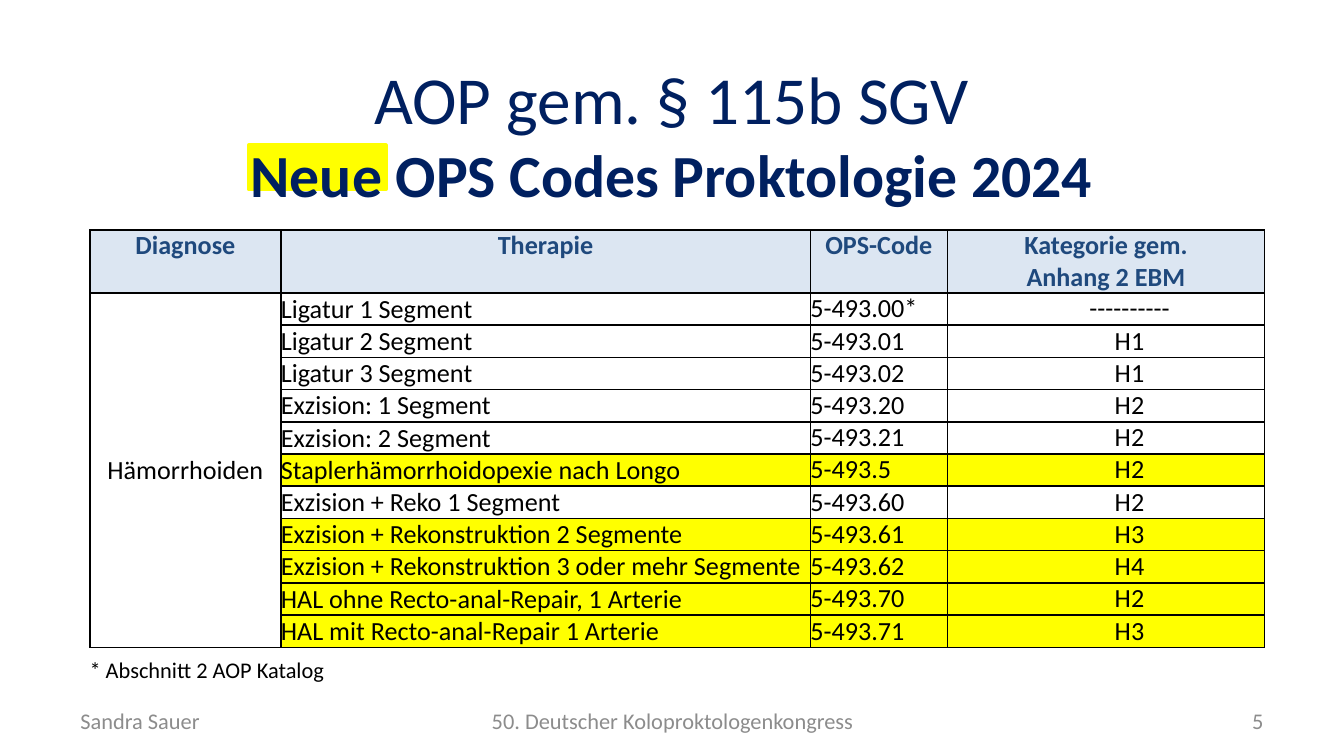
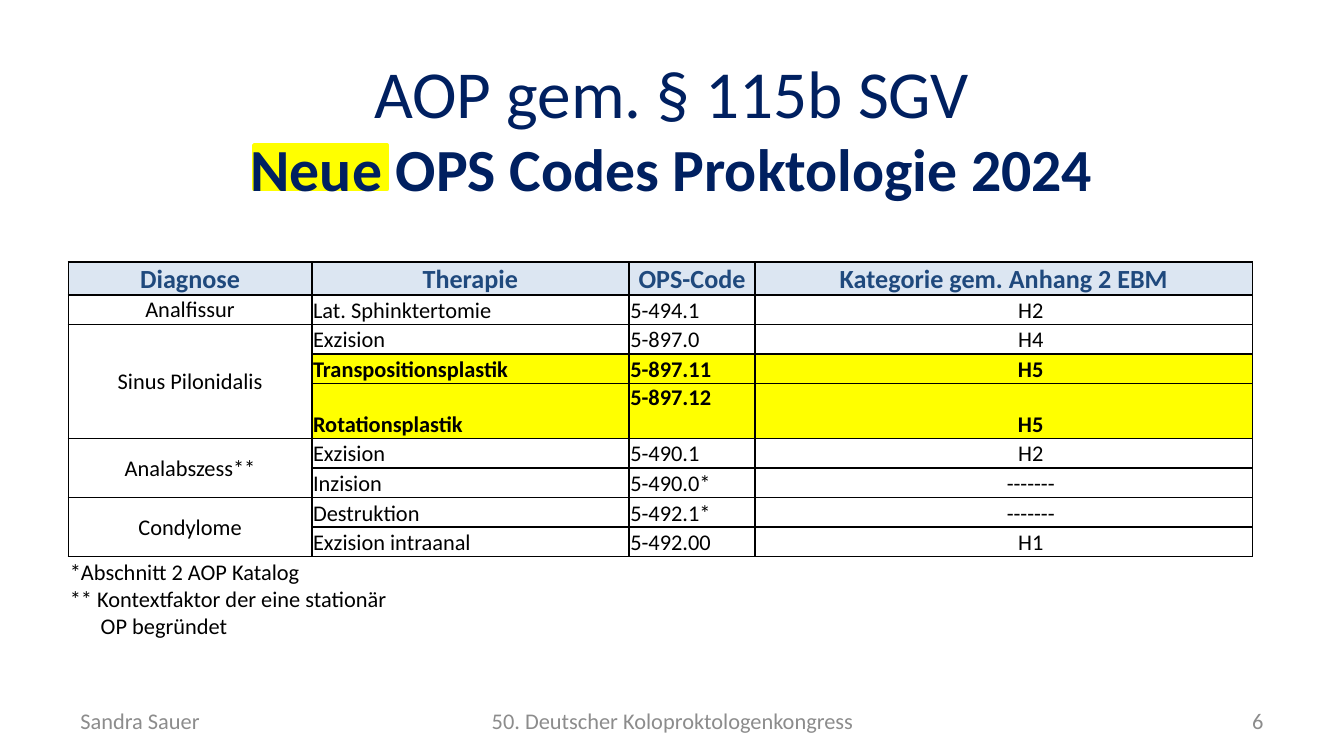
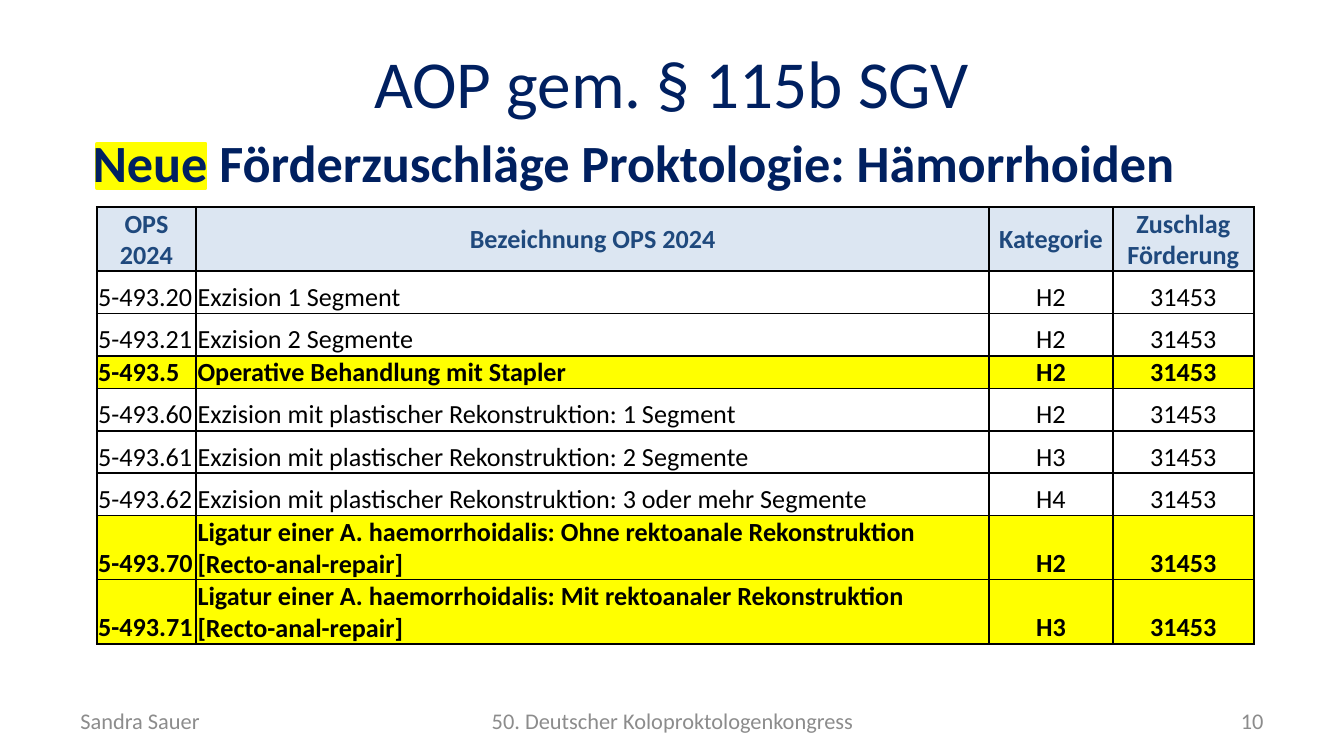
import pptx
import pptx.dml.color
import pptx.enum.shapes
import pptx.enum.text
import pptx.oxml.ns
import pptx.util
from lxml import etree

NAVY, HEADING, HEADER_FILL = "002060", "1F497D", "DCE6F2"
YELLOW, GREY, BLACK, WHITE = "FFFF00", "8C8C8C", "000000", "FFFFFF"
FONT = "Calibri"
NO_STYLE = "{2D5ABB26-0587-4C30-8999-92F81FD0307C}"
UNIT = pptx.util.Inches(10) // 100
LEFT = pptx.enum.text.PP_ALIGN.LEFT
CENTER = pptx.enum.text.PP_ALIGN.CENTER
RIGHT = pptx.enum.text.PP_ALIGN.RIGHT
TOP = pptx.enum.text.MSO_ANCHOR.TOP
MIDDLE = pptx.enum.text.MSO_ANCHOR.MIDDLE
BOTTOM = pptx.enum.text.MSO_ANCHOR.BOTTOM
RECTANGLE = pptx.enum.shapes.MSO_SHAPE.RECTANGLE


def color(value):
    return pptx.dml.color.RGBColor.from_string(value)


def grid(*units):
    return [round(unit * UNIT) for unit in units]


def style(paragraph, size, font_color, bold=False, align=LEFT):
    paragraph.alignment = align
    font = paragraph.font
    font.name, font.size, font.bold = FONT, pptx.util.Pt(size), bold
    font.color.rgb = color(font_color)


def add_text(slide, box, text, size, font_color, align, anchor=MIDDLE):
    frame = slide.shapes.add_textbox(*grid(*box)).text_frame
    frame.word_wrap = True
    frame.vertical_anchor = anchor
    paragraph = frame.paragraphs[0]
    paragraph.text = text
    style(paragraph, size, font_color, align=align)
    return paragraph


def add_rectangle(slide, box, fill, line, line_width):
    shape = slide.shapes.add_shape(RECTANGLE, *grid(*box))
    shape.shadow.inherit = False
    if fill:
        shape.fill.solid()
        shape.fill.fore_color.rgb = color(fill)
    else:
        shape.fill.background()
    shape.line.color.rgb = color(line)
    shape.line.width = pptx.util.Pt(line_width)
    return shape


def add_frame(presentation, number, marker, title_top, subtitle=None):
    slide = presentation.slides.add_slide(presentation.slide_layouts[6])
    marker_left, marker_top, marker_width = marker
    add_rectangle(slide, (marker_left, marker_top, marker_width, 3.3), YELLOW, YELLOW, 2)
    title = add_text(slide, (5, title_top, 90, 9.4), "AOP gem. § 115b SGV", 36, NAVY, CENTER)
    if subtitle:
        title.add_line_break()
        run = title.add_run()
        run.text = subtitle
        run.font.size, run.font.bold = pptx.util.Pt(32), True
    for left, width, text, align in (
        (5, 23.3, "Sandra Sauer", LEFT),
        (34.2, 31.7, "50. Deutscher Koloproktologenkongress", CENTER),
        (71.7, 23.3, str(number), RIGHT),
    ):
        add_text(slide, (left, 52.1, width, 3), text, 12, GREY, align)
    return slide


def new_table(slide, left, top, columns, rows):
    box = grid(left, top, sum(columns), sum(rows))
    table = slide.shapes.add_table(len(rows), len(columns), *box).table
    table.first_row = table.horz_banding = False
    table._tbl.tblPr.find(pptx.oxml.ns.qn("a:tableStyleId")).text = NO_STYLE
    for column, width in zip(table.columns, grid(*columns)):
        column.width = width
    for row, height in zip(table.rows, grid(*rows)):
        row.height = height
    return table


def add_borders(cell):
    properties = cell._tc.get_or_add_tcPr()
    for position, side in enumerate(("lnL", "lnR", "lnT", "lnB")):
        line = etree.Element(pptx.oxml.ns.qn(f"a:{side}"), w=str(pptx.util.Pt(1)))
        fill = etree.SubElement(line, pptx.oxml.ns.qn("a:solidFill"))
        etree.SubElement(fill, pptx.oxml.ns.qn("a:srgbClr"), val=BLACK)
        properties.insert(position, line)


def fill_cell(cell, text, size, font_color, bold, align, anchor, fill=None, inset=0.1):
    cell.text = text
    cell.vertical_anchor = anchor
    cell.margin_left, cell.margin_right, cell.margin_top = grid(inset, inset, inset)
    cell.margin_bottom = 0
    if fill:
        cell.fill.solid()
        cell.fill.fore_color.rgb = color(fill)
    else:
        cell.fill.background()
    for paragraph in cell.text_frame.paragraphs:
        style(paragraph, size, font_color, bold, align)


def add_code_table(slide, left, top, columns, heights, header, body, new_codes,
                   aligns, anchors, header_anchor=TOP, size=14, bold_new=True,
                   inset=0.1, category_indent=0):
    table = new_table(slide, left, top, columns, heights)
    for column, text in enumerate(header):
        fill_cell(table.cell(0, column), text, 14, HEADING, True, CENTER,
                  header_anchor, HEADER_FILL, inset)
    for row, texts in enumerate(body, 1):
        is_new = not new_codes.isdisjoint(texts)
        for column, text in enumerate(texts):
            fill = YELLOW if is_new and text else None
            fill_cell(table.cell(row, column), text, size, BLACK, is_new and bold_new,
                      aligns[column], anchors[column], fill, inset)
        if category_indent:
            table.cell(row, len(columns) - 1).margin_left = grid(category_indent)[0]
    for cell in table.iter_cells():
        add_borders(cell)
    starts = [row for row, texts in enumerate(body, 1) if texts[0]]
    for start, following in zip(starts, starts[1:] + [len(body) + 1]):
        if following - start > 1:
            table.cell(start, 0).merge(table.cell(following - 1, 0))
    return table


def add_footnote(slide, left, top, height, text, align):
    table = new_table(slide, left, top, [25.2], [height])
    fill_cell(table.cell(0, 0), text, 12, BLACK, False, align, MIDDLE)
    return table.cell(0, 0).text_frame.paragraphs


def build_haemorrhoid_codes(presentation):
    slide = add_frame(presentation, 5, (18.5, 10.8, 10.2), 5.2,
                      "Neue OPS Codes Proktologie 2024")
    header = ("Diagnose", "Therapie", "OPS-Code", "Kategorie gem.\nAnhang 2 EBM")
    therapies = (
        ("Ligatur 1 Segment", "5-493.00*", "----------"),
        ("Ligatur 2 Segment", "5-493.01", "H1"),
        ("Ligatur 3 Segment", "5-493.02", "H1"),
        ("Exzision: 1 Segment", "5-493.20", "H2"),
        ("Exzision: 2 Segment", "5-493.21", "H2"),
        ("Staplerhämorrhoidopexie nach Longo", "5-493.5", "H2"),
        ("Exzision + Reko 1 Segment", "5-493.60", "H2"),
        ("Exzision + Rekonstruktion 2 Segmente", "5-493.61", "H3"),
        ("Exzision + Rekonstruktion 3 oder mehr Segmente", "5-493.62", "H4"),
        ("HAL ohne Recto-anal-Repair, 1 Arterie", "5-493.70", "H2"),
        ("HAL mit Recto-anal-Repair 1 Arterie", "5-493.71", "H3"),
    )
    body = [("" if row else "Hämorrhoiden", *texts) for row, texts in enumerate(therapies)]
    add_code_table(slide, 6.7, 17.1, (14.2, 39.4, 10.2, 23.6), [4.7] + [2.4] * 11,
                   header, body, {"5-493.5", "5-493.61", "5-493.62", "5-493.70", "5-493.71"},
                   (CENTER, LEFT, LEFT, CENTER), (MIDDLE, BOTTOM, TOP, TOP),
                   bold_new=False, inset=0, category_indent=3.5)
    add_footnote(slide, 2.8, 48.8, 2.2, "* Abschnitt 2 AOP Katalog", CENTER)


def build_other_codes(presentation):
    slide = add_frame(presentation, 6, (18.9, 10.8, 9.9), 4.8,
                      "Neue OPS Codes Proktologie 2024")
    header = ("Diagnose", "Therapie", "OPS-Code", "Kategorie gem. Anhang 2 EBM")
    body = (
        ("Analfissur", "Lat. Sphinktertomie", "5-494.1", "H2"),
        ("Sinus Pilonidalis", "Exzision", "5-897.0", "H4"),
        ("", "Transpositionsplastik", "5-897.11", "H5"),
        ("", "Rotationsplastik", "5-897.12", "H5"),
        ("Analabszess**", "Exzision", "5-490.1", "H2"),
        ("", "Inzision", "5-490.0*", "-------"),
        ("Condylome", "Destruktion", "5-492.1*", "-------"),
        ("", "Exzision intraanal", "5-492.00", "H1"),
    )
    table = add_code_table(slide, 5.1, 19.5, (18.1, 23.6, 9.4, 37),
                           [2.4] + [2.2] * 3 + [4.1] + [2.2] * 4,
                           header, body, {"5-897.11", "5-897.12"},
                           (CENTER, LEFT, LEFT, CENTER), (MIDDLE, BOTTOM, BOTTOM, BOTTOM),
                           size=12, category_indent=4.1)
    table.cell(4, 2).vertical_anchor = TOP
    notes = add_footnote(slide, 5.1, 41.5, 6.1,
                         "*Abschnitt 2 AOP Katalog\n** Kontextfaktor der eine stationär\n"
                         "OP begründet", LEFT)
    notes[-1]._p.get_or_add_pPr().set("marL", str(grid(2.3)[0]))


def build_surcharges(presentation):
    slide = add_frame(presentation, 10, (7.2, 10.7, 8.1), 1.4)
    panel = add_rectangle(slide, (5.9, 9.2, 88.2, 43.4), None, WHITE, 0.75)
    panel.text_frame.word_wrap = True
    panel.text_frame.vertical_anchor = TOP
    panel.text_frame.text = "Neue Förderzuschläge Proktologie: Hämorrhoiden"
    style(panel.text_frame.paragraphs[0], 28, NAVY, True)
    header = ("OPS 2024", "Bezeichnung OPS 2024", "Kategorie", "Zuschlag Förderung")
    procedures = (
        ("5-493.20", "Exzision 1 Segment", "H2"),
        ("5-493.21", "Exzision 2 Segmente", "H2"),
        ("5-493.5", "Operative Behandlung mit Stapler", "H2"),
        ("5-493.60", "Exzision mit plastischer Rekonstruktion: 1 Segment", "H2"),
        ("5-493.61", "Exzision mit plastischer Rekonstruktion: 2 Segmente", "H3"),
        ("5-493.62", "Exzision mit plastischer Rekonstruktion: 3 oder mehr Segmente", "H4"),
        ("5-493.70", "Ligatur einer A. haemorrhoidalis: Ohne rektoanale Rekonstruktion "
                     "[Recto-anal-repair]", "H2"),
        ("5-493.71", "Ligatur einer A. haemorrhoidalis: Mit rektoanaler Rekonstruktion "
                     "[Recto-anal-repair]", "H3"),
    )
    body = [(*texts, "31453") for texts in procedures]
    add_code_table(slide, 7.2, 15.4, (7.4, 59, 9.2, 10.5),
                   [4.7] + [3.15] * 2 + [2.4] + [3.15] * 3 + [4.7] * 2,
                   header, body, {"5-493.5", "5-493.70", "5-493.71"},
                   (LEFT, LEFT, CENTER, CENTER), (BOTTOM,) * 4, header_anchor=MIDDLE)


def main():
    presentation = pptx.Presentation()
    presentation.slide_width, presentation.slide_height = grid(100, 56.25)
    build_haemorrhoid_codes(presentation)
    build_other_codes(presentation)
    build_surcharges(presentation)
    presentation.save("out.pptx")


if __name__ == "__main__":
    main()
